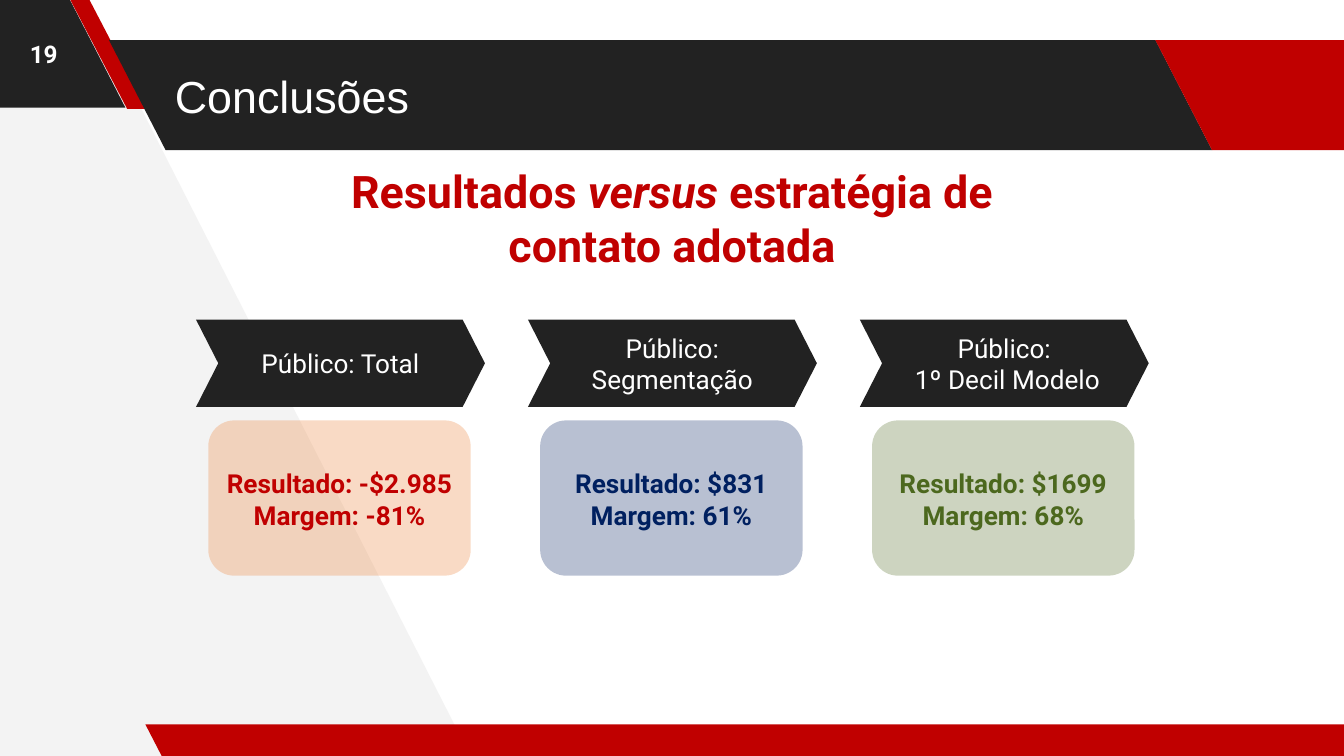
from lxml import etree
from pptx import Presentation
from pptx.dml.color import RGBColor
from pptx.enum import shapes, text
from pptx.oxml import ns
from pptx.util import Pt

WHITE = RGBColor(0xFF, 0xFF, 0xFF)
PALE = RGBColor(0xF3, 0xF3, 0xF3)
DARK = RGBColor(0x22, 0x22, 0x22)
RED = RGBColor(0xC0, 0x00, 0x00)
ORANGE = RGBColor(0xED, 0x7D, 0x31)
NAVY = RGBColor(0x00, 0x20, 0x60)
GREEN = RGBColor(0x4C, 0x68, 0x1E)

SHAPE = shapes.MSO_SHAPE
LEFT = text.PP_ALIGN.LEFT
CENTER = text.PP_ALIGN.CENTER
TOP = text.MSO_ANCHOR.TOP
MIDDLE = text.MSO_ANCHOR.MIDDLE


class Deck:
    font = "Roboto"
    inset = 7.2

    def __init__(self, width, height):
        self.prs = Presentation()
        self.prs.slide_width, self.prs.slide_height = Pt(width), Pt(height)
        self.s = self.prs.slides.add_slide(self.prs.slide_layouts[6])

    def paint(self, sp, color, alpha=None):
        sp.shadow.inherit = False
        sp.fill.solid()
        sp.fill.fore_color.rgb = color
        sp.line.fill.background()
        if alpha is not None:
            clr = sp._element.spPr.find(".//" + ns.qn("a:srgbClr"))
            etree.SubElement(clr, ns.qn("a:alpha"), val=str(alpha * 1000))

    def shape(self, kind, box, adj, color, alpha=None):
        sp = self.s.shapes.add_shape(kind, *map(Pt, box))
        sp.adjustments[0] = adj
        self.paint(sp, color, alpha)
        return sp

    def slanted_bar(self, box, adj, color):
        sp = self.shape(SHAPE.PARALLELOGRAM, box, adj, color)
        sp._element.spPr.find(ns.qn("a:xfrm")).set("flipH", "1")

    def polygon(self, points, color):
        points = [(Pt(x), Pt(y)) for x, y in points]
        fb = self.s.shapes.build_freeform(*points[0])
        fb.add_line_segments(points[1:], close=True)
        self.paint(fb.convert_to_shape(), color)

    def add_text(self, sp, paragraphs, size, color, bold=False, align=CENTER,
                 anchor=MIDDLE, font=None, inset=None):
        tf = sp.text_frame
        tf.word_wrap = True
        tf.vertical_anchor = anchor
        tf.margin_left = tf.margin_right = Pt(inset or self.inset)
        tf.margin_top = tf.margin_bottom = Pt(inset or self.inset)
        for i, runs in enumerate(paragraphs):
            p = tf.add_paragraph() if i else tf.paragraphs[0]
            p.alignment = align
            for words, italic in runs:
                r = p.add_run()
                r.text = words
                r.font.name = font or self.font
                r.font.size = Pt(size)
                r.font.bold = bold
                r.font.italic = italic
                r.font.color.rgb = color

    def text_box(self, box, paragraphs, size, color, **style):
        sp = self.s.shapes.add_textbox(*map(Pt, box))
        self.add_text(sp, paragraphs, size, color, **style)

    def result_card(self, x, audience, results, tint, color):
        sp = self.shape(SHAPE.CHEVRON, (x, 171.2, 154.8, 46.8), 0.255, DARK)
        self.add_text(sp, [[(line, False)] for line in audience], 14, WHITE, inset=9.4)
        left, width = x + 6.6, 140.6
        self.shape(SHAPE.ROUNDED_RECTANGLE, (left, 225.2, width, 83.2), 0.167, tint, 28)
        self.text_box((left, 243.4, width, 47.5), [[(line, False)] for line in results],
                      14, color, bold=True, anchor=TOP)


def main():
    deck = Deck(720, 405)
    deck.polygon([(252, 405), (44.6, -2.9), (-4.3, -2.9), (-1.4, 407.5)], PALE)
    for box, adj, color in [
        ((-71.3, -1.4, 138.5, 59), 0.515, DARK),
        ((37.4, -0.7, 41, 59), 0.75, RED),
        ((58.4, 21.5, 591, 59), 0.515, DARK),
        ((619, 21.5, 138.5, 59), 0.515, RED),
        ((77.9, 388, 659, 18), 0.515, RED),
    ]:
        deck.slanted_bar(box, adj, color)

    deck.text_box((86.6, 21.5, 596, 59), [[("Conclusões", False)]], 24, WHITE,
                  align=LEFT, font="Arial")
    deck.text_box((0, 0, 46.8, 57.6), [[("19", False)]], 13, WHITE, bold=True)
    heading = [("Resultados ", False), ("versus", True),
               (" estratégia de contato adotada", False)]
    deck.text_box((140.4, 80.6, 439.2, 49.7), [heading], 24, RED, bold=True, anchor=TOP)

    cards = [
        (["Público: Total"], ["Resultado: -$2.985", "Margem: -81%"], ORANGE, RED),
        (["Público: Segmentação"], ["Resultado: $831", "Margem: 61%"], NAVY, NAVY),
        (["Público:", " 1º Decil Modelo"], ["Resultado: $1699", "Margem: 68%"],
         GREEN, GREEN),
    ]
    for i, card in enumerate(cards):
        deck.result_card(105 + 177.8 * i, *card)

    deck.prs.save("out.pptx")


if __name__ == "__main__":
    main()
